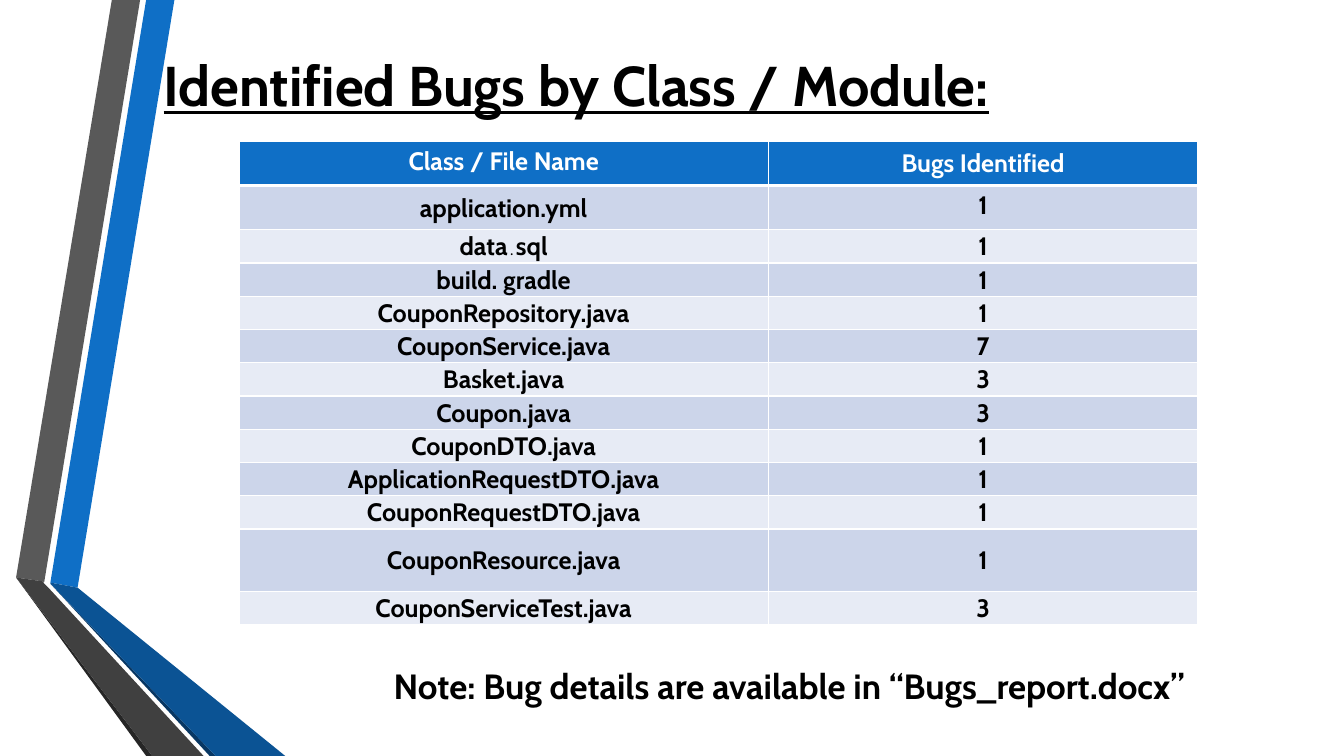
from lxml import etree
from pptx import Presentation
from pptx import util as u
from pptx.dml.color import RGBColor
from pptx.enum import text
from pptx.oxml.ns import qn

WHITE = RGBColor(0xFF, 0xFF, 0xFF)
BLACK = RGBColor(0x00, 0x00, 0x00)
BLUE = RGBColor(0x0F, 0x6F, 0xC6)
DEEP = RGBColor(0x0B, 0x53, 0x94)
NAVY = RGBColor(0x08, 0x37, 0x63)
GRAY = RGBColor(0x59, 0x59, 0x59)
DARK = RGBColor(0x40, 0x40, 0x40)
COAL = RGBColor(0x26, 0x26, 0x26)
BAND = RGBColor(0xCC, 0xD5, 0xEA)
PALE = RGBColor(0xE7, 0xEB, 0xF5)

RIBBONS = [
    (BLUE, [(0.5, 5.78), (0.77, 5.83), (1.73, 0), (1.45, 0)]),
    (GRAY, [(1.39, 0), (1.11, 0), (0.16, 5.73), (0.44, 5.77)]),
    (COAL, [(0.16, 5.73), (1.45, 7.5), (1.51, 7.5)]),
    (NAVY, [(0.5, 5.79), (2.08, 7.5), (2.14, 7.5)]),
    (DEEP, [(0.5, 5.78), (0.5, 5.79), (2.14, 7.5), (2.83, 7.5), (0.77, 5.83)]),
    (DARK, [(2.02, 7.5), (0.48, 5.83), (0.43, 5.78), (0.44, 5.77),
            (0.16, 5.73), (1.51, 7.5)]),
]

BUGS = [
    ("Class / File Name", "Bugs Identified"),
    ("application.yml", "1"),
    ("data.sql", "1"),
    ("build. gradle", "1"),
    ("CouponRepository.java", "1"),
    ("CouponService.java", "7"),
    ("Basket.java", "3"),
    ("Coupon.java", "3"),
    ("CouponDTO.java", "1"),
    ("ApplicationRequestDTO.java", "1"),
    ("CouponRequestDTO.java", "1"),
    ("CouponResource.java", "1"),
    ("CouponServiceTest.java", "3"),
]
WIDTHS = [5.25, 4.26]
HEIGHTS = [0.44] * 2 + [0.33] * 9 + [0.62, 0.33]
LOOSE = [(0, 0), (1, 1)]


class Deck:
    face = "Cabin"
    mono = "Noto Sans Mono"

    def __init__(self):
        self.prs = Presentation()
        self.prs.slide_width = u.Inches(13.33)
        self.prs.slide_height = u.Inches(7.5)
        self.slide = self.prs.slides.add_slide(self.prs.slide_layouts[6])

    def ribbon(self, color, points):
        start, *rest = [(u.Inches(x), u.Inches(y)) for x, y in points]
        build = self.slide.shapes.build_freeform(*start)
        build.add_line_segments(rest, close=True)
        shape = build.convert_to_shape()
        shape.shadow.inherit = False
        shape.fill.solid()
        shape.fill.fore_color.rgb = color
        shape.line.fill.background()

    def style(self, par, size, color=BLACK):
        par.alignment = text.PP_ALIGN.CENTER
        font = par.font
        font.name, font.size, font.bold = self.face, u.Pt(size), True
        font.color.rgb = color
        return font

    def label(self, words, left, top, size):
        box = self.slide.shapes.add_textbox(
            u.Inches(left), u.Inches(top), u.Inches(9.05), u.Inches(0.83))
        frame = box.text_frame
        frame.word_wrap = True
        frame.vertical_anchor = text.MSO_ANCHOR.MIDDLE
        frame.text = words
        return self.style(frame.paragraphs[0], size)

    def border(self, cell, row):
        props = cell._tc.get_or_add_tcPr()
        points = {"L": 1, "R": 1, "T": 3 if row == 1 else 1,
                  "B": 3 if row == 0 else 1}
        for spot, (side, width) in enumerate(points.items()):
            line = etree.Element(qn("a:ln" + side), w=str(u.Pt(width)))
            fill = etree.SubElement(line, qn("a:solidFill"))
            etree.SubElement(fill, qn("a:srgbClr"), val=str(WHITE))
            props.insert(spot, line)

    def cell(self, cell, row, col, words):
        cell.fill.solid()
        cell.fill.fore_color.rgb = BLUE if row == 0 else BAND if row % 2 else PALE
        self.border(cell, row)
        if (row, col) not in LOOSE:
            cell.vertical_anchor = text.MSO_ANCHOR.MIDDLE
            cell.margin_left = cell.margin_right = u.Inches(0.01)
            cell.margin_top, cell.margin_bottom = u.Inches(0.01), 0
        par = cell.text_frame.paragraphs[0]
        self.style(par, 18, BLACK if row else WHITE)
        if words == "data.sql":
            for part in ("data", ".", "sql"):
                run = par.add_run()
                run.text = part
                if part == ".":
                    run.font.name, run.font.size = self.mono, u.Pt(10)
                    run.font.bold = False
        else:
            par.add_run().text = words

    def table(self, left, top):
        table = self.slide.shapes.add_table(
            len(BUGS), len(WIDTHS), u.Inches(left), u.Inches(top),
            u.Inches(sum(WIDTHS)), u.Inches(sum(HEIGHTS))).table
        table.horz_banding = False
        for col, width in zip(table.columns, WIDTHS):
            col.width = u.Inches(width)
        for row, height in zip(table.rows, HEIGHTS):
            row.height = u.Inches(height)
        for row, pair in enumerate(BUGS):
            for col, words in enumerate(pair):
                self.cell(table.cell(row, col), row, col, words)


def main():
    deck = Deck()
    for color, points in RIBBONS:
        deck.ribbon(color, points)
    title = deck.label("Identified Bugs by Class / Module:", 1.19, 0.42, 40)
    title.underline = True
    deck.label("Note: Bug details are available in “Bugs_report.docx”", 3.3, 6.39, 25)
    deck.table(2.37, 1.4)
    deck.prs.save("out.pptx")


if __name__ == "__main__":
    main()
